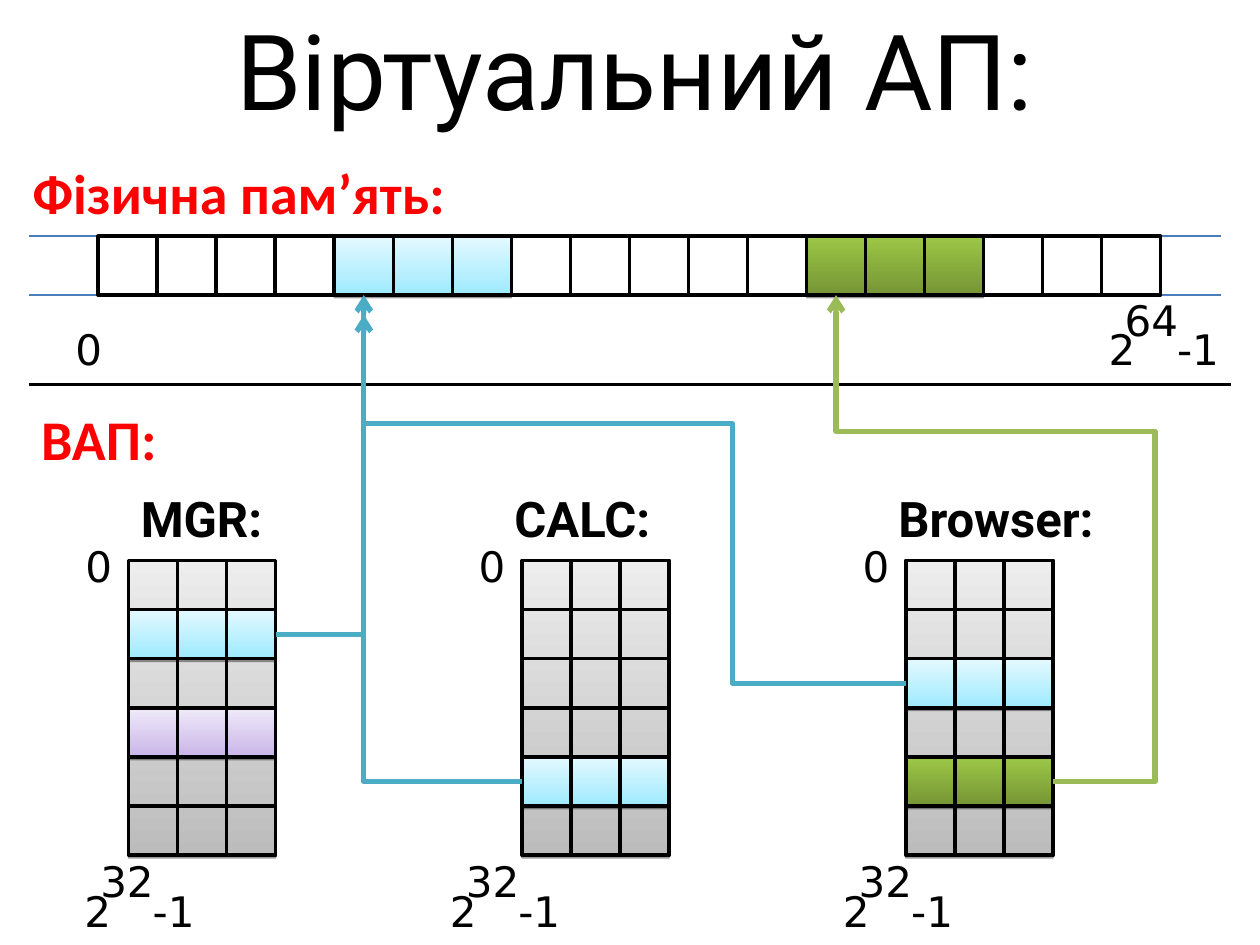
from lxml import etree
from pptx import Presentation
from pptx.dml.color import RGBColor
from pptx.enum.shapes import MSO_CONNECTOR as Conn, MSO_SHAPE as Shape
from pptx.enum.text import MSO_ANCHOR as Anchor, MSO_AUTO_SIZE as AutoSize, PP_ALIGN as Align
from pptx.oxml.ns import qn
from pptx.util import Cm, Pt

GREY = ("BCBCBC", "EDEDED", "000000")
BLUE = ("9EEAFF", "E4F9FF", "46AAC5")
GREEN = ("769535", "9CC746", "98B954")
VIOLET = ("C9B5E8", "F0EAF9", "7D60A0")
BLUE_LINK, GREEN_LINK = "4BACC6", "9BBB59"
CELL, ROWS, COLS = 0.99, 6, 3
PAGE, PAGES = 1.19, 18


def rgb(value):
    return RGBColor.from_string(value)


def sub(parent, tag, **attrs):
    return etree.SubElement(parent, qn(tag), **attrs)


def add_text(slide, text, x, y, w, h, size=24, font="DejaVu Sans", color="000000",
             bold=False, align=Align.CENTER, anchor=Anchor.MIDDLE):
    tf = slide.shapes.add_textbox(Cm(x), Cm(y), Cm(w), Cm(h)).text_frame
    tf.word_wrap = True
    tf.vertical_anchor = anchor
    p = tf.paragraphs[0]
    p.text = text
    p.alignment = align
    p.font.size, p.font.name, p.font.bold = Pt(size), font, bold
    p.font.color.rgb = rgb(color)
    return tf


def add_heading(slide, text, x, y, w):
    add_text(slide, text, x, y, w, 1.4, 32, "Calibri", "FF0000", True, Align.LEFT)


def add_frame(slide, x, y, w, h):
    sp = slide.shapes.add_shape(Shape.RECTANGLE, Cm(x), Cm(y), Cm(w), Cm(h))
    sp.shadow.inherit = False
    sp.fill.background()
    sp.line.color.rgb = rgb("000000")
    sp.line.width = Pt(2)
    return sp


def add_block(slide, x, y, w, h, colors):
    sp = add_frame(slide, x, y, w, h)
    sp.fill.gradient()
    sp.fill.gradient_angle = 90
    for stop, color in zip(sp.fill.gradient_stops, colors):
        stop.color.rgb = rgb(color)
    sp.line.color.rgb = rgb(colors[2])
    sp.line.width = Pt(0.75)
    effects = sp.element.spPr.find(qn("a:effectLst"))
    shadow = sub(effects, "a:outerShdw", blurRad="0", dist=str(Pt(1.6)),
                 dir="5400000", rotWithShape="0")
    sub(sub(shadow, "a:srgbClr", val="000000"), "a:alpha", val="38000")


def add_line(slide, start, end, color, width, kind="line", adjust=(), arrow=False):
    c = slide.shapes.add_connector(Conn.STRAIGHT, *map(Cm, start + end))
    c.line.color.rgb = rgb(color)
    c.line.width = Pt(width)
    spPr = c.element.spPr
    geom = spPr.find(qn("a:prstGeom"))
    geom.set("prst", kind)
    guides = geom.find(qn("a:avLst"))
    for i, value in enumerate(adjust, 1):
        sub(guides, "a:gd", name=f"adj{i}", fmla=f"val {round(value * 100000)}")
    if arrow:
        sub(spPr.find(qn("a:ln")), "a:tailEnd", type="arrow")
    sub(spPr, "a:effectLst")


def add_last_address(slide, power, x, y):
    tf = add_text(slide, "2\t-1", x, y, 4.17, 1.78, align=Align.LEFT)
    tf.margin_left = Cm(1.12)
    tabs = etree.Element(qn("a:tabLst"))
    sub(tabs, "a:tab", pos=str(Cm(1.38)), algn="l")
    tf.paragraphs[0]._p.get_or_add_pPr().insert(0, tabs)
    add_text(slide, power, x + 1.18, y - 0.59, 1.6, 1.78)


def add_title(slide, text, x, y, w, h):
    sp = slide.shapes.title
    sp.left, sp.top, sp.width, sp.height = map(Cm, (x, y, w, h))
    tf = sp.text_frame
    tf.text = text
    tf.auto_size = AutoSize.NONE
    tf.vertical_anchor = Anchor.MIDDLE
    p = tf.paragraphs[0]
    p.alignment = Align.CENTER
    p.line_spacing = Pt(60)
    p.font.size, p.font.name = Pt(60), "Roboto"
    p.font.color.rgb = rgb("000000")


def add_physical_memory(slide, x, y, used):
    add_heading(slide, "Фізична пам’ять:", x - 1.57, y - 1.58, 13.1)
    for first, colors in used.items():
        add_block(slide, x + first * PAGE, y, 3 * PAGE, PAGE, colors)
    for edge in (y, y + PAGE):
        add_line(slide, (x - 1.4, edge), (x + 22.63, edge), "4A7EBB", 0.75)
    add_frame(slide, x, y, PAGES * PAGE, PAGE)
    for i in range(1, PAGES - 1):
        add_frame(slide, x + i * PAGE, y, PAGE, PAGE)
    add_text(slide, "0", x - 0.99, y + 1.39, 1.6, 1.78)
    add_last_address(slide, "64", x + 19.25, y + 1.39)


def add_process(slide, name, x, y, name_dx, name_w, last_dx, used):
    w, h = COLS * CELL, ROWS * CELL
    add_block(slide, x, y, w, h, GREY)
    for row, colors in used.items():
        add_block(slide, x, y + row * CELL, w, CELL, colors)
    for row in range(ROWS):
        add_frame(slide, x, y + row * CELL, w, CELL)
    for col in range(1, COLS):
        add_frame(slide, x + col * CELL, y, CELL, h)
    add_text(slide, name, x + name_dx, y - 1.58, name_w, 1.4, 28, "Roboto",
             bold=True, align=Align.LEFT, anchor=Anchor.TOP)
    add_text(slide, "0", x - 1.4, y - 0.79, 1.6, 1.78)
    add_last_address(slide, "32", x + last_dx, y + 6.16)


def add_links(slide, bar_x, bar_y, manager_x, calc_x, browser_x, top):
    def row_y(row):
        return top + (row + 0.5) * CELL

    bottom, width = bar_y + PAGE, COLS * CELL
    blue_x, green_x = bar_x + 4.5 * PAGE, bar_x + 12.5 * PAGE
    add_line(slide, (manager_x + width, row_y(1)), (blue_x, bottom + 0.4),
             BLUE_LINK, 3, "bentConnector2", arrow=True)
    add_line(slide, (calc_x, row_y(4)), (blue_x, bottom),
             BLUE_LINK, 3, "bentConnector2", arrow=True)
    add_line(slide, (browser_x, row_y(2)), (blue_x, bottom + 2.59),
             BLUE_LINK, 3, "bentConnector3", (0.32,))
    add_line(slide, (browser_x + width, row_y(4)), (green_x, bottom),
             GREEN_LINK, 3, "bentConnector4", (-0.47, 0.72), True)


def main():
    prs = Presentation()
    prs.slide_width, prs.slide_height = Cm(25.4), Cm(19.05)
    slide = prs.slides.add_slide(prs.slide_layouts[5])
    bar_x, bar_y, top = 1.98, 4.76, 11.3
    manager_x, calc_x, browser_x = 2.59, 10.52, 18.26
    add_title(slide, "Віртуальний АП:", 0.99, 0, 23.62, 3.18)
    add_physical_memory(slide, bar_x, bar_y, {4: BLUE, 12: GREEN})
    add_line(slide, (0.58, 7.75), (24.82, 7.75), "000000", 2)
    add_heading(slide, "ВАП:", 0.58, 8.13, 3.38)
    add_process(slide, "MGR:", manager_x, top, 0, 3.38, -2.01, {1: BLUE, 3: VIOLET})
    add_process(slide, "CALC:", calc_x, top, -0.4, 3.96, -2.57, {4: BLUE})
    add_process(slide, "Browser:", browser_x, top, -0.4, 4.57, -2.39, {2: BLUE, 4: GREEN})
    add_links(slide, bar_x, bar_y, manager_x, calc_x, browser_x, top)
    prs.save("out.pptx")


if __name__ == "__main__":
    main()
